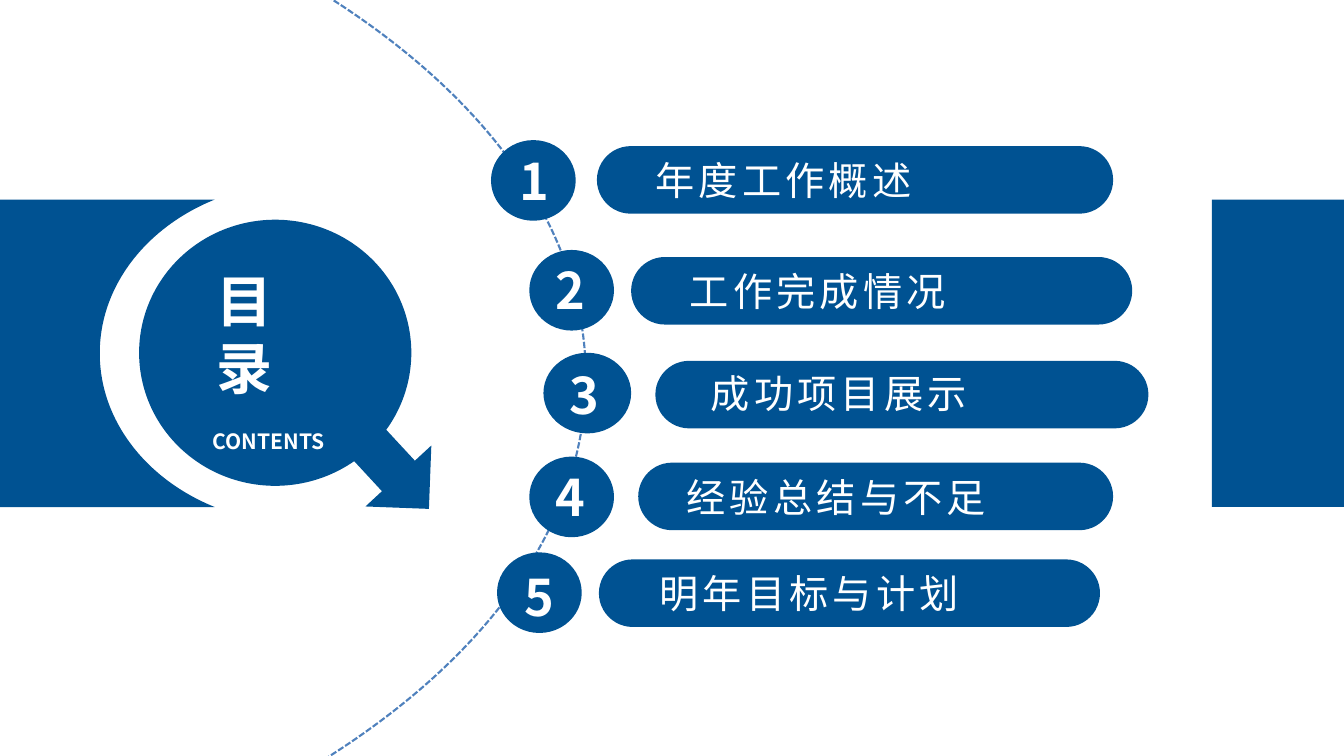
from dataclasses import dataclass

from lxml import etree
from pptx import Presentation
from pptx import util as u
from pptx.dml.color import RGBColor
from pptx.enum import dml, shapes, text
from pptx.oxml.ns import qn

In = u.Inches


@dataclass(frozen=True)
class Theme:
    blue: RGBColor = RGBColor(0x00, 0x52, 0x92)
    arc: RGBColor = RGBColor(0x4F, 0x81, 0xBD)
    white: RGBColor = RGBColor(0xFF, 0xFF, 0xFF)
    font: str = "Noto Sans CJK SC"
    title: int = 40
    number: int = 36
    label: int = 28
    subtitle: int = 15


THEME = Theme()
KIND = shapes.MSO_SHAPE

# heading, circle (x, y, width), digit (x, y), pill (x, y, width), label (x, y)
ENTRIES = [
    ("年度工作概述", (4.87, 1.39, 0.84), (5.03, 1.42), (5.92, 1.45, 5.12), (6.38, 1.49)),
    ("工作完成情况", (5.25, 2.48, 0.84), (5.39, 2.51), (6.26, 2.55, 4.97), (6.72, 2.59)),
    ("成功项目展示", (5.39, 3.50, 0.87), (5.53, 3.55), (6.50, 3.58, 4.89), (6.93, 3.60)),
    ("经验总结与不足", (5.25, 4.53, 0.84), (5.39, 4.56), (6.33, 4.59, 4.71), (6.69, 4.63)),
    ("明年目标与计划", (4.93, 5.48, 0.84), (5.08, 5.55), (5.94, 5.55, 4.97), (6.42, 5.59)),
]


def add_block(parent, kind, x, y, w, h):
    block = parent.shapes.add_shape(kind, In(x), In(y), In(w), In(h))
    block.shadow.inherit = False
    block.fill.solid()
    block.fill.fore_color.rgb = THEME.blue
    block.line.fill.background()
    return block


def write(block, lines, size, bold=False, spacing=0, align=text.PP_ALIGN.LEFT, pitch=None):
    frame = block.text_frame
    frame.word_wrap = len(lines) > 1
    frame.auto_size = text.MSO_AUTO_SIZE.NONE
    frame.vertical_anchor = text.MSO_ANCHOR.MIDDLE
    frame.margin_left = frame.margin_right = In(0.12)
    frame.margin_top = frame.margin_bottom = In(0.06)
    for i, line in enumerate(lines):
        para = frame.add_paragraph() if i else frame.paragraphs[0]
        para.alignment = align
        if pitch:
            para.line_spacing = u.Pt(pitch)
        run = para.add_run()
        run.text = line
        run.font.size = u.Pt(size)
        run.font.bold = bold
        run.font.name = THEME.font
        run.font.color.rgb = THEME.white
        props = run.font._element
        etree.SubElement(props, qn("a:ea")).set("typeface", THEME.font)
        if spacing:
            props.set("spc", str(spacing * 100))


def add_outline(slide, corners, curves, close):
    """Straight lines through the corners, then cubic curves of three points each."""
    points = corners + [point for curve in curves for point in curve]
    emu = [(In(x), In(y)) for x, y in points]
    builder = slide.shapes.build_freeform(*emu[0])
    builder.add_line_segments(emu[1:], close=close)
    outline = builder.convert_to_shape()
    outline.shadow.inherit = False
    # Merge every three curve points into one cubic segment
    steps = list(outline._element.iter(qn("a:lnTo")))[len(corners) - 1:]
    for first, second, third in zip(steps[::3], steps[1::3], steps[2::3]):
        first.tag = qn("a:cubicBezTo")
        for step in (second, third):
            first.append(step[0])
            step.getparent().remove(step)
    return outline


def side_bands(slide, y, h):
    # Right band, then the left band with its hollow edge
    add_block(slide, KIND.RECTANGLE, 12.02, y, 1.31, h)
    top, mid, bottom = (2.13, y), (0.99, y + h / 2), (2.13, y + h)
    curves = [
        [(1.46, y + 0.27), (0.99, y + 0.85), mid],
        [(0.99, y + h - 0.85), (1.46, y + h - 0.27), bottom],
    ]
    band = add_outline(slide, [bottom, (0, y + h), (0, y), top], curves, True)
    band.fill.solid()
    band.fill.fore_color.rgb = THEME.blue
    band.line.fill.background()


def dashed_arc(slide, x, y, w, h):
    curves = [
        [(x + 1.6, y + 1.01), (x + w, y + 2.33), (x + w, y + h / 2)],
        [(x + w, y + h - 2.33), (x + 1.6, y + h - 1.01), (x, y + h)],
    ]
    arc = add_outline(slide, [(x, y)], curves, False)
    arc.fill.background()
    arc.line.color.rgb = THEME.arc
    arc.line.width = u.Pt(1.5)
    arc.line.dash_style = dml.MSO_LINE.SQUARE_DOT


def contents_entry(slide, number, heading, circle, digit_at, pill, label_at):
    x, y, w = circle
    entry = slide.shapes.add_group_shape()
    add_block(entry, KIND.OVAL, x, y, w, 0.8)
    bar = add_block(entry, KIND.ROUNDED_RECTANGLE, *pill, 0.67)
    bar.adjustments[0] = 0.5
    label = add_block(entry, KIND.RECTANGLE, *label_at, 0.27 + 0.43 * len(heading), 0.59)
    write(label, [heading], THEME.label, spacing=3)
    digit = entry.shapes.add_textbox(*map(In, digit_at), In(0.55), In(0.73))
    write(digit, [str(number)], THEME.number, bold=True)


def magnifier(slide, x, y, w, h):
    # Lens with the slide title
    add_block(slide, KIND.OVAL, x, y, w, h)
    title = add_block(slide, KIND.RECTANGLE, x + 0.65, y + 0.4, 1.33, 1.47)
    write(title, ["目", "录"], THEME.title, bold=True,
          align=text.PP_ALIGN.JUSTIFY, pitch=47.5)
    subtitle = add_block(slide, KIND.RECTANGLE, x + 0.61, y + 2.01, 1.42, 0.37)
    write(subtitle, ["CONTENTS"], THEME.subtitle, bold=True)


def contents_slide(prs):
    slide = prs.slides.add_slide(prs.slide_layouts[6])
    handle = add_block(slide, KIND.RIGHT_ARROW, 3.49, 4.27, 0.91, 0.89)
    handle.rotation = 47.2
    side_bands(slide, 1.98, 3.05)
    dashed_arc(slide, 3.24, -0.04, 2.57, 7.56)
    for number, entry in enumerate(ENTRIES, 1):
        contents_entry(slide, number, *entry)
    magnifier(slide, 1.38, 2.18, 2.7, 2.64)


def main():
    prs = Presentation()
    prs.slide_width, prs.slide_height = In(13.33), In(7.5)
    contents_slide(prs)
    prs.save("out.pptx")


if __name__ == "__main__":
    main()
